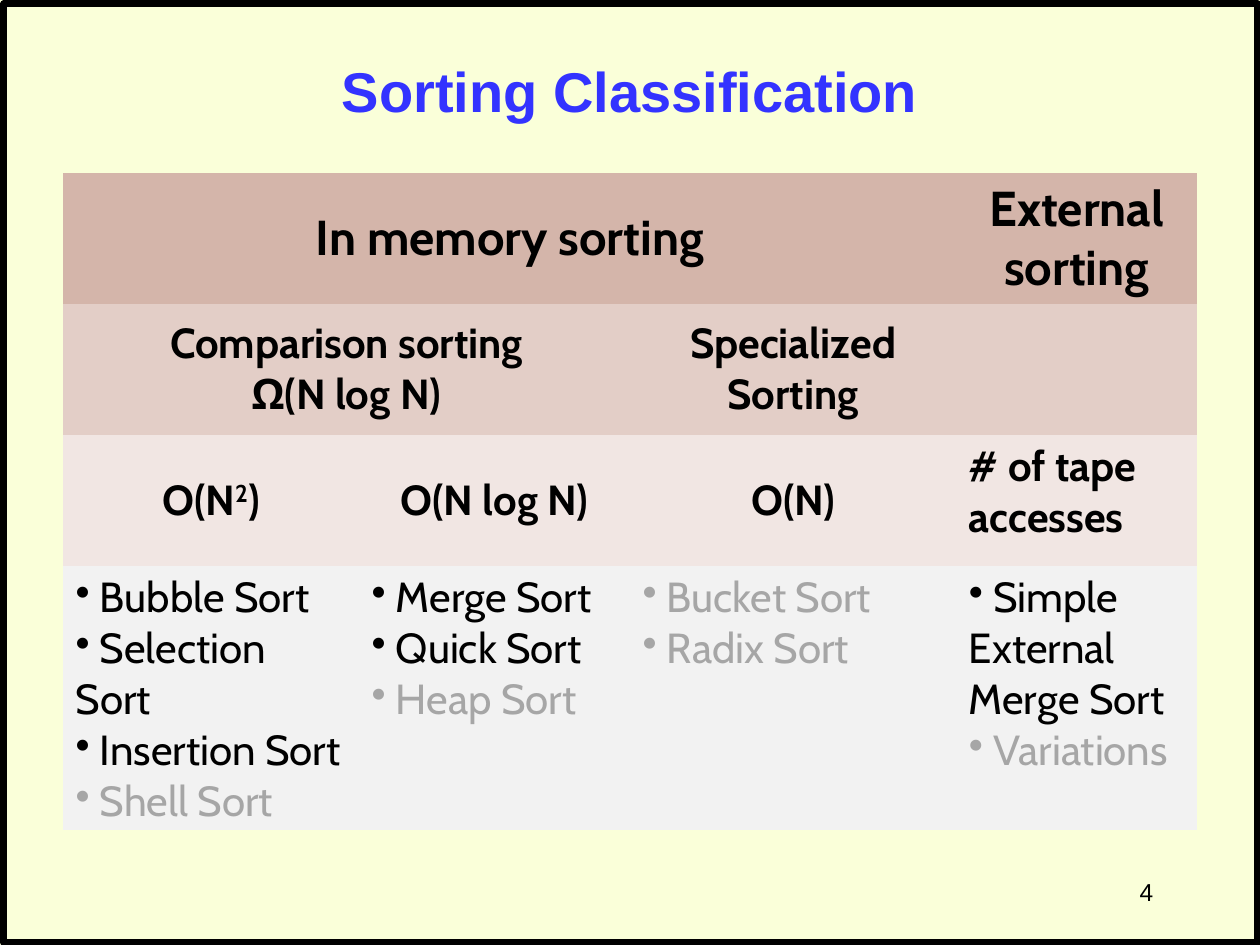
from dataclasses import dataclass

from lxml import etree
from pptx import Presentation
from pptx.dml.color import RGBColor
from pptx.enum.shapes import MSO_SHAPE
from pptx.enum.text import MSO_ANCHOR, PP_ALIGN
from pptx.oxml.ns import qn
from pptx.util import Inches, Pt

LEFT, CENTER, RIGHT = PP_ALIGN.LEFT, PP_ALIGN.CENTER, PP_ALIGN.RIGHT
TOP, MIDDLE = MSO_ANCHOR.TOP, MSO_ANCHOR.MIDDLE
BLACK, GRAY = "000000", "A6A6A6"
NO_STYLE = "{2D5ABB26-0587-4C30-8999-92F81FD0307C}"

COLUMN_WIDTHS = (2.35, 2.15, 2.59, 1.91)
ROW_HEIGHT = 1.04
ROW_FILLS = ("D4B5AA", "E3CEC7", "F1E6E3", "F2F2F2")


@dataclass
class Heading:
    row: int
    col: int
    lines: tuple[str, ...]
    size: int = 24
    span: int = 1
    align: PP_ALIGN = CENTER
    anchor: MSO_ANCHOR = MIDDLE
    # "^" separates normal text from superscript, alternately


@dataclass
class SortList:
    col: int
    covered: tuple[str, ...]
    optional: tuple[str, ...]  # shown in gray


HEADINGS = (
    Heading(0, 0, ("In memory sorting",), size=28, span=3),
    Heading(0, 3, ("External sorting",), size=28),
    Heading(1, 0, ("Comparison sorting", "Ω(N log N)"), span=2),
    Heading(1, 2, ("Specialized Sorting",)),
    Heading(2, 0, ("O(N^2^)",)),
    Heading(2, 1, ("O(N log N)",)),
    Heading(2, 2, ("O(N)",)),
    Heading(2, 3, ("# of tape accesses",), align=LEFT, anchor=TOP),
)
SORT_LISTS = (
    SortList(0, ("Bubble Sort", "Selection Sort", "Insertion Sort"), ("Shell Sort",)),
    SortList(1, ("Merge Sort", "Quick Sort"), ("Heap Sort",)),
    SortList(2, (), ("Bucket Sort", "Radix Sort")),
    SortList(3, ("Simple External Merge Sort",), ("Variations",)),
)


def rgb(color: str) -> RGBColor:
    return RGBColor.from_string(color)


def add_run(p, text: str, size: int, color: str = BLACK, bold: bool = False,
            font: str = "Cabin"):
    r = p.add_run()
    r.text = text
    r.font.name, r.font.size, r.font.bold = font, Pt(size), bold
    r.font.color.rgb = rgb(color)
    return r


def next_paragraph(tf, index: int):
    return tf.add_paragraph() if index else tf.paragraphs[0]


def add_bullet(p, color: str) -> None:
    pPr = p._p.get_or_add_pPr()
    bu_clr = etree.SubElement(pPr, qn("a:buClr"))
    etree.SubElement(bu_clr, qn("a:srgbClr"), val=color)
    etree.SubElement(pPr, qn("a:buChar"), char="•")


def fill_heading(table, heading: Heading) -> None:
    cell = table.cell(heading.row, heading.col)
    if heading.span > 1:
        cell.merge(table.cell(heading.row, heading.col + heading.span - 1))
    cell.vertical_anchor = heading.anchor
    for i, line in enumerate(heading.lines):
        p = next_paragraph(cell.text_frame, i)
        p.alignment = heading.align
        for j, part in enumerate(line.split("^")):
            r = add_run(p, part, heading.size, bold=True)
            if j % 2:
                r._r.get_or_add_rPr().set("baseline", "30000")


def fill_sort_list(table, sorts: SortList) -> None:
    tf = table.cell(3, sorts.col).text_frame
    for i, name in enumerate(sorts.covered + sorts.optional):
        color = BLACK if i < len(sorts.covered) else GRAY
        p = next_paragraph(tf, i)
        add_bullet(p, color)
        add_run(p, " " + name, 24, color)


def add_sorting_table(s) -> None:
    rows, cols = len(ROW_FILLS), len(COLUMN_WIDTHS)
    frame = s.shapes.add_table(rows, cols, Inches(0.5), Inches(1.37),
                               Inches(sum(COLUMN_WIDTHS)), Inches(ROW_HEIGHT * rows))
    table = frame.table
    table._tbl.tblPr.find(qn("a:tableStyleId")).text = NO_STYLE
    for column, width in zip(table.columns, COLUMN_WIDTHS):
        column.width = Inches(width)
    for row, color in zip(table.rows, ROW_FILLS):
        row.height = Inches(ROW_HEIGHT)
        for cell in row.cells:
            cell.fill.solid()
            cell.fill.fore_color.rgb = rgb(color)
    for heading in HEADINGS:
        fill_heading(table, heading)
    for sorts in SORT_LISTS:
        fill_sort_list(table, sorts)


def main() -> None:
    prs = Presentation()
    prs.slide_width, prs.slide_height = Inches(10), Inches(7.5)
    s = prs.slides.add_slide(prs.slide_layouts[5])
    s.background.fill.solid()
    s.background.fill.fore_color.rgb = rgb("FAFFD9")

    # Frame around the slide, behind everything else
    border = s.shapes.add_shape(MSO_SHAPE.RECTANGLE, Inches(0.03), Inches(0.03),
                                Inches(9.95), Inches(7.45))
    border.shadow.inherit = False
    border.fill.background()
    border.line.color.rgb = rgb(BLACK)
    border.line.width = Pt(3.75)
    s.shapes._spTree.insert(2, border._element)

    # Title
    title = s.shapes.title
    title.left, title.top = Inches(0.5), Inches(0.09)
    title.width, title.height = Inches(9), Inches(1.25)
    title.text_frame.vertical_anchor = MIDDLE
    p = title.text_frame.paragraphs[0]
    p.alignment = CENTER
    add_run(p, "Sorting Classification", 32, "3333FF", True, "Arial")

    # Slide number
    number = s.shapes.add_textbox(Inches(7.17), Inches(6.83), Inches(2.08), Inches(0.5))
    tf = number.text_frame
    tf.word_wrap = True
    tf.vertical_anchor = MIDDLE
    p = tf.paragraphs[0]
    p.alignment = RIGHT
    add_run(p, "4", 14, font="Arial")

    add_sorting_table(s)
    prs.save("out.pptx")


if __name__ == "__main__":
    main()
